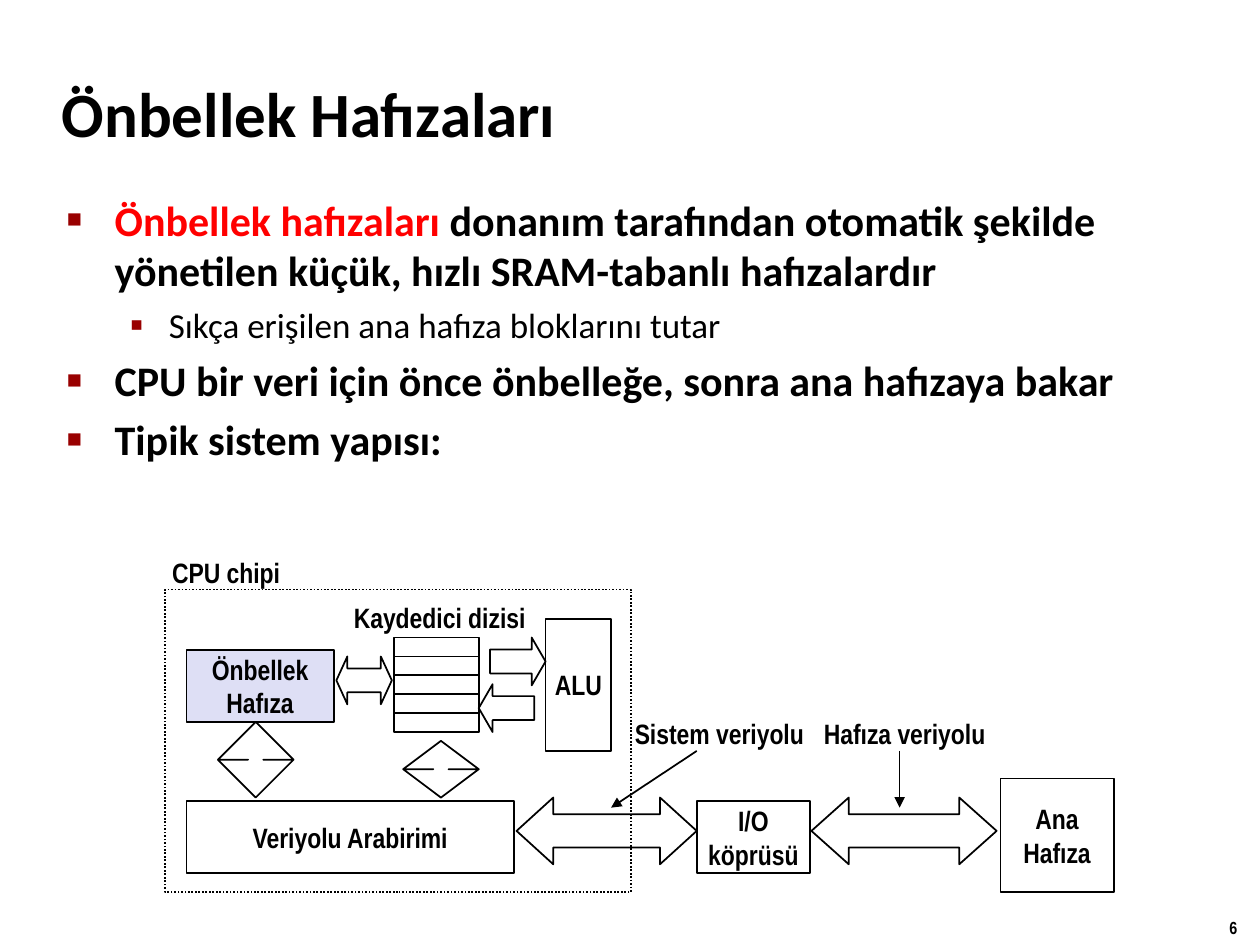
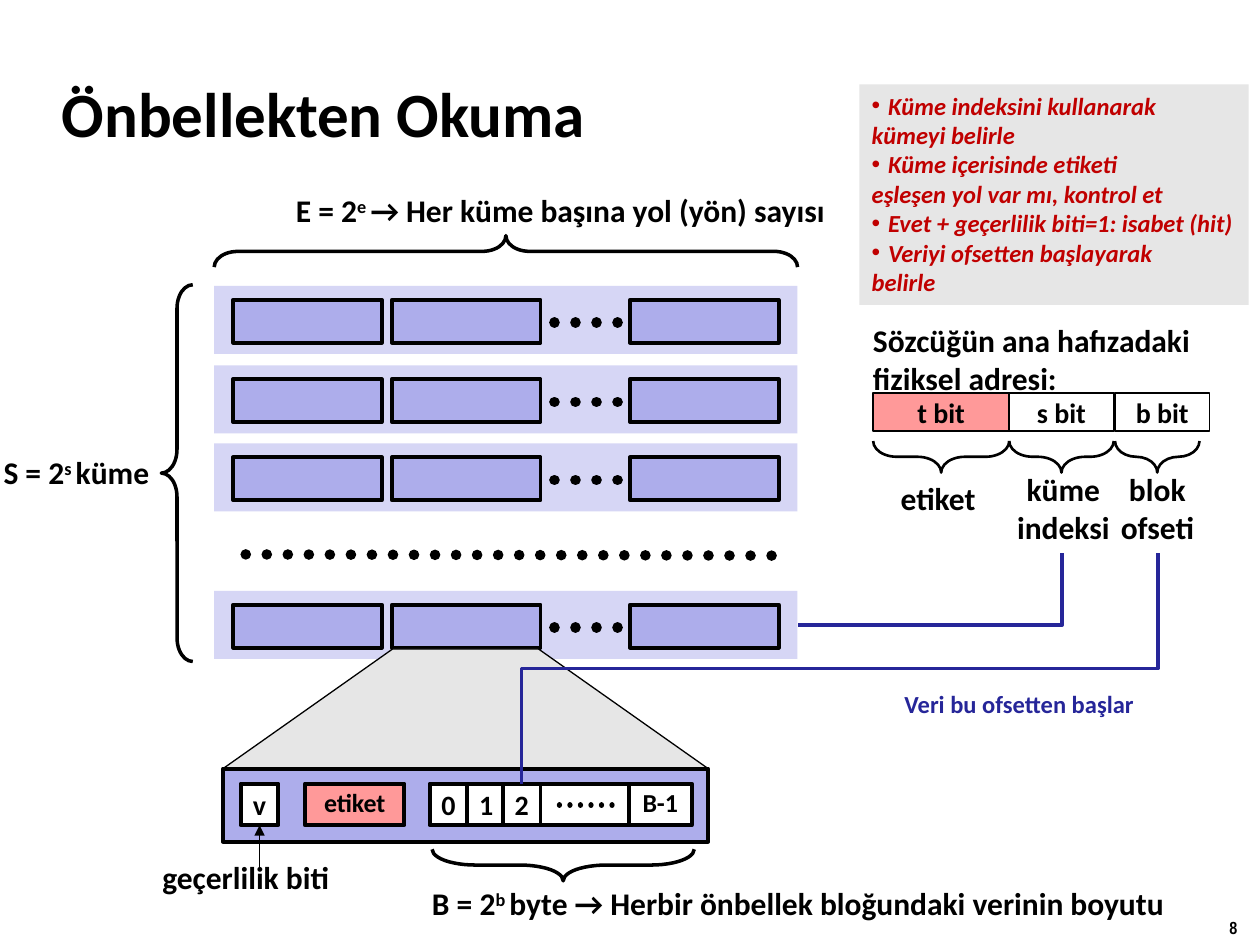
from lxml import etree
from pptx import Presentation
from pptx.dml.color import RGBColor
from pptx.enum import dml, shapes, text
from pptx.oxml import ns
from pptx.util import Inches, Pt

HUES = {"ink": "000000", "red": "FF0000", "mark": "990000", "pale": "DEDFF5",
        "set": "D6D6F5", "way": "ADADEB", "tag": "FF9999", "white": "FFFFFF",
        "grey": "E6E6E6", "wire": "262699", "step": "C00000"}
BASE = {"name": "Calibri", "size": 18, "bold": True, "italic": False, "hue": "ink"}
HEAD = {**BASE, "size": 36}
ITEM = {**BASE, "size": 24}
SUB = {**BASE, "size": 20, "bold": False}
CELL = {**BASE, "size": 16}
SMALL = {**BASE, "size": 14.8}
NOTE = {**BASE, "size": 14, "hue": "wire"}
STEP = {**NOTE, "hue": "step", "italic": True}
PART = {**CELL, "name": "Arial Narrow"}
PAGE = {**PART, "size": 10}
KIND = shapes.MSO_SHAPE
LEFT, MID = text.PP_ALIGN.LEFT, text.PP_ALIGN.CENTER


def color(key):
    """Return the named colour."""
    return RGBColor.from_string(HUES[key])


def tag(parent, name, **values):
    """Append a drawing element with attributes."""
    node = etree.SubElement(parent, ns.qn(name))
    for key, value in values.items():
        node.set(key, str(value))
    return node


def add_run(para, words, style, **extra):
    """Add a run and set its font from a style."""
    run = para.add_run()
    run.text = words
    look = {**style, **extra}
    for key in ("name", "bold", "italic"):
        setattr(run.font, key, look[key])
    run.font.size = Pt(look["size"])
    run.font.color.rgb = color(look["hue"])
    if "rise" in look:
        run._r.get_or_add_rPr().set("baseline", str(look["rise"]))


def indent(para, left, first):
    """Set the left margin and first-line indent."""
    props = para._p.get_or_add_pPr()
    props.set("marL", str(Inches(left)))
    props.set("indent", str(Inches(first)))
    return props


def bullet(para, sign, left, first, hue=None, size=None):
    """Give a paragraph a hanging bullet."""
    props = indent(para, left, first)
    if hue:
        tag(tag(props, "a:buClr"), "a:srgbClr", val=HUES[hue])
    if size:
        tag(props, "a:buSzPct", val=size * 1000)
    tag(props, "a:buFont", typeface="Arial")
    tag(props, "a:buChar", char=sign)


def lines(frame, count):
    """Yield the given number of paragraphs of a frame."""
    yield frame.paragraphs[0]
    for _ in range(count - 1):
        yield frame.add_paragraph()


def write(frame, words, style, align=LEFT, space=None):
    """Write one paragraph for each line of words."""
    rows = words.split("\n")
    for para, row in zip(lines(frame, len(rows)), rows):
        para.alignment = align
        if space:
            para.line_spacing = space
        add_run(para, row, style)


def stroke(line, width, dash=False, hue="ink"):
    """Set a line's colour, width and dash."""
    line.color.rgb = color(hue)
    line.width = Pt(width)
    if dash:
        line.dash_style = dml.MSO_LINE.ROUND_DOT


class Pen:
    """Draw on a slide relative to an origin."""

    def __init__(self, slide, x=0, y=0):
        self.tree, self.x, self.y = slide.shapes, x, y

    def spot(self, x, y):
        """Turn a relative point into slide lengths."""
        return Inches(self.x + x), Inches(self.y + y)

    def shape(self, kind, box, fill=None, width=1, dash=False, adj=(), words="",
              style=PART, space=None):
        """Add a preset shape with optional centred words."""
        item = self.tree.add_shape(kind, *self.spot(*box[:2]), *map(Inches, box[2:]))
        item.shadow.inherit = False
        if fill:
            item.fill.solid()
            item.fill.fore_color.rgb = color(fill)
        else:
            item.fill.background()
        if width:
            stroke(item.line, width, dash)
        else:
            item.line.fill.background()
        for place, value in enumerate(adj):
            item.adjustments[place] = value
        if words:
            item.text_frame.word_wrap = False
            item.text_frame.vertical_anchor = text.MSO_ANCHOR.MIDDLE
            write(item.text_frame, words, style, MID, space)
        return item

    def rect(self, box, **look):
        """Add a rectangle."""
        return self.shape(KIND.RECTANGLE, box, **look)

    def label(self, box, words="", style=BASE, align=LEFT):
        """Add a text box that fits its words."""
        item = self.tree.add_textbox(*self.spot(*box[:2]), *map(Inches, box[2:]))
        frame = item.text_frame
        frame.word_wrap = False
        frame.auto_size = text.MSO_AUTO_SIZE.SHAPE_TO_FIT_TEXT
        if words:
            write(frame, words, style, align)
        return frame

    def power(self, box, base, rise, rest):
        """Add a label with a raised exponent."""
        para = self.label(box).paragraphs[0]
        add_run(para, base, BASE)
        add_run(para, rise + " ", BASE, rise=30000)
        add_run(para, rest, BASE)

    def link(self, start, end, width, dots=False, arrow=False, hue="ink",
             kind=shapes.MSO_CONNECTOR.STRAIGHT):
        """Add a connector, dotted or with an arrowhead."""
        item = self.tree.add_connector(kind, *self.spot(*start), *self.spot(*end))
        stroke(item.line, width, dots, hue)
        props = item._element.spPr
        pen = props.find(ns.qn("a:ln"))
        if dots:
            pen.set("cap", "rnd")
        if arrow:
            tag(pen, "a:tailEnd", type="triangle")
        tag(props, "a:effectLst")
        return item

    def wire(self, start, end, preset):
        """Add an elbow that leaves downward and runs left."""
        (ax, ay), (bx, by) = start, end
        mx, my, w, h = (ax + bx) / 2, (ay + by) / 2, (by - ay) / 2, (ax - bx) / 2
        item = self.link((mx - w, my - h), (mx + w, my + h), 2, hue="wire",
                         kind=shapes.MSO_CONNECTOR.ELBOW)
        props = item._element.spPr
        props.find(ns.qn("a:xfrm")).set("rot", "5400000")
        props.find(ns.qn("a:prstGeom")).set("prst", preset)

    def brace(self, x, y, size, turn, width=2, curl=0.75):
        """Add a horizontal brace from its left end."""
        deep = 0.25
        box = (x + (size - deep) / 2, y + (deep - size) / 2, deep, size)
        item = self.shape(KIND.LEFT_BRACE, box, width=width, adj=(curl, 0.5))
        item.rotation = turn


def start(deck, layout, title, page):
    """Add a slide with its title and page number."""
    slide = deck.slides.add_slide(deck.slide_layouts[layout])
    head = slide.shapes.title
    place(head, (0.39, 0.48, 8.3, 0.83))
    head.text_frame.vertical_anchor = text.MSO_ANCHOR.MIDDLE
    write(head.text_frame, title, HEAD)
    indent(head.text_frame.paragraphs[0], 0.13, -0.13)
    Pen(slide).label((9.66, 7.23, 0.34, 0.27), page, PAGE)
    return slide


def place(item, box):
    """Move a placeholder to a box and stop it resizing."""
    for key, value in zip(("left", "top", "width", "height"), box):
        setattr(item, key, Inches(value))
    item.text_frame.auto_size = text.MSO_AUTO_SIZE.NONE


def points(body, box):
    """Fill the body with the bulleted list."""
    place(body, box)
    rows = [(0, [("Önbellek hafızaları ", "red"),
                 ("donanım tarafından otomatik şekilde yönetilen küçük, "
                  "hızlı SRAM-tabanlı hafızalardır", "ink")]),
            (1, [("Sıkça erişilen ana hafıza bloklarını tutar", "ink")]),
            (0, [("CPU bir veri için önce önbelleğe, sonra ana hafızaya bakar", "ink")]),
            (0, [("Tipik sistem yapısı:", "ink")])]
    marks = [("■", 0.38, -0.38, "mark", 60), ("▪", 0.81, -0.31, "mark", 110)]
    for rank, (para, (level, parts)) in enumerate(zip(lines(body.text_frame, len(rows)), rows)):
        para.level = level
        bullet(para, *marks[level])
        para.space_before = Pt(5 if rank else 0)
        for words, hue in parts:
            add_run(para, words, SUB if level else ITEM, hue=hue)


def system(slide, x, y):
    """Draw the processor chip, its buses and main memory."""
    pen = Pen(slide, x, y)
    pen.rect((0, 0, 3.7, 2.4), dash=True)
    for row in range(5):
        pen.rect((1.82, 0.38 + row * 0.15, 0.67, 0.15))
    parts = [((6.63, 1.5, 0.9, 0.9), "Ana\nHafıza", None),
             ((4.22, 1.68, 0.9, 0.57), "I/O\nköprüsü", None),
             ((0.17, 1.68, 2.6, 0.57), "Veriyolu Arabirimi", None),
             ((3.02, 0.23, 0.52, 1.05), "ALU", None),
             ((0.17, 0.48, 1.17, 0.57), "Önbellek\nHafıza", "pale")]
    for box, words, fill in parts:
        pen.rect(box, words=words, fill=fill)
    flat, tall = KIND.LEFT_RIGHT_ARROW, KIND.UP_DOWN_ARROW
    for kind, box, tip in [(flat, (5.13, 1.65, 1.47, 0.53), 0.56),
                           (flat, (2.79, 1.65, 1.43, 0.53), 0.55),
                           (flat, (1.36, 0.53, 0.44, 0.38), 0.23),
                           (tall, (1.89, 1.2, 0.6, 0.45), 0.2),
                           (tall, (0.42, 1.05, 0.6, 0.6), 0.2),
                           (KIND.RIGHT_ARROW, (2.58, 0.38, 0.44, 0.38), 0.29),
                           (KIND.LEFT_ARROW, (2.49, 0.75, 0.44, 0.38), 0.29)]:
        pen.shape(kind, box, adj=(0.5, tip))
    for left, top, wide, words in [(1.39, 0.04, 1.58, "Kaydedici dizisi"),
                                   (-0.05, -0.32, 1.07, "CPU chipi"),
                                   (3.62, 0.96, 1.56, "Sistem veriyolu"),
                                   (5.12, 0.96, 1.5, "Hafıza veriyolu")]:
        pen.label((left, top, wide, 0.37), words, PART, MID)
    for tail, tip in [(4.22, 3.54), (5.83, 5.83)]:
        pen.link((tail, 1.28), (tip, 1.73), 1, arrow=True)


def sets(slide, x, y):
    """Draw the cache sets with their ways and braces."""
    pen = Pen(slide, x, y)
    for top in (0, 0.63, 1.25, 2.42):
        pen.rect((0, top, 4.63, 0.54), fill="set", width=0)
        for left in (0.15, 1.41, 3.3):
            pen.rect((left, top + 0.11, 1.18, 0.34), fill="way", width=2.25)
        pen.link((2.7, top + 0.29), (3.31, top + 0.29), 6, dots=True)
    pen.link((0.25, 2.13), (4.49, 2.14), 6, dots=True)
    pen.brace(0, -0.4, 4.63, 90)
    pen.shape(KIND.LEFT_BRACE, (-0.42, -0.01, 0.25, 2.99), width=2, adj=(0.75, 0.5))
    pen.power((0.55, -0.8, 4.49, 0.4), "E = 2", "e", "→ Her küme başına yol (yön) sayısı")
    pen.power((-1.77, 1.28, 1.4, 0.4), "S = 2", "s", "küme")


def block(slide, x, y):
    """Draw the enlarged cache line."""
    pen = Pen(slide, x, y)
    pen.shape(KIND.TRAPEZOID, (0, -0.95, 3.85, 0.95), "grey", 0.75, adj=(1.418,))
    pen.rect((0, 0, 3.85, 0.58), fill="way", width=2.25)
    for left, wide, words, fill, style, space in [
            (1.64, 0.3, "0", "white", CELL, None), (1.94, 0.3, "1", "white", CELL, None),
            (2.22, 0.3, "2", "white", CELL, None), (3.22, 0.5, "B-1", "white", SMALL, 0.9),
            (2.52, 0.7, "", "white", CELL, None), (0.65, 0.79, "etiket", "tag", SMALL, 0.9),
            (0.14, 0.3, "v", "white", CELL, None)]:
        pen.rect((left, 0.12, wide, 0.33), fill=fill, width=2.25, words=words,
                 style=style, space=space)
    pen.link((2.67, 0.29), (3.17, 0.29), 3, dots=True)
    pen.label((-0.58, 0.66, 1.54, 0.4), "geçerlilik biti")
    pen.link((0.29, 0.78), (0.29, 0.45), 0.75, arrow=True)
    pen.brace(1.66, 0.64, 2.08, 270, curl=1.37)
    pen.power((1.56, 0.87, 6.12, 0.4), "B = 2", "b",
              "byte → Herbir önbellek bloğundaki verinin boyutu")


def address(slide, x, y):
    """Draw the address fields and the wires they drive."""
    pen = Pen(slide, x, y)
    for left, wide, span, words, fill in [(0, 1.08, 1.08, "t bit", "tag"),
                                          (1.08, 0.83, 0.83, "s bit", "white"),
                                          (1.92, 0.75, 0.67, "b bit", "white")]:
        pen.rect((left, 0, wide, 0.3), fill=fill, words=words, style=CELL)
        pen.brace(left, 0.38, span, 270, 1.5)
    pen.label((-0.1, -0.62, 2.8, 0.71), "Sözcüğün ana hafızadaki\nfiziksel adresi:")
    pen.label((0.12, 0.63, 0.8, 0.4), "etiket")
    pen.label((1.04, 0.56, 0.94, 0.71), "küme\nindeksi", align=MID)
    pen.label((1.86, 0.56, 0.79, 0.71), "blok\nofseti", align=MID)
    pen.wire((1.5, 1.27), (-0.6, 1.84), "bentConnector2")
    pen.wire((2.26, 1.27), (-2.79, 3.1), "bentConnector3")
    pen.label((0.15, 2.3, 2.04, 0.34), "Veri bu ofsetten başlar", NOTE)


def steps(slide, box):
    """Draw the panel of lookup steps."""
    panel = Pen(slide).rect(box, fill="grey", width=0)
    frame = panel.text_frame
    frame.word_wrap = False
    frame.vertical_anchor = text.MSO_ANCHOR.TOP
    rows = [(True, "Küme indeksini kullanarak"), (False, "kümeyi belirle"),
            (True, "Küme içerisinde etiketi"), (False, "eşleşen yol var mı, kontrol et"),
            (True, "Evet + geçerlilik biti=1: isabet (hit)"),
            (True, "Veriyi ofsetten başlayarak"), (False, "belirle")]
    for para, (first, words) in zip(lines(frame, len(rows)), rows):
        para.alignment = LEFT
        if first:
            bullet(para, "•", 0.13, -0.13)
        add_run(para, words, STEP)


def main():
    """Build both slides and save the deck."""
    deck = Presentation()
    deck.slide_width, deck.slide_height = Inches(10), Inches(7.5)
    slide = start(deck, 1, "Önbellek Hafızaları", "6")
    points(slide.placeholders[1], (0.43, 1.49, 8.64, 5.44))
    system(slide, 1.31, 4.68)
    slide = start(deck, 5, "Önbellekten Okuma", "8")
    sets(slide, 1.7, 2.27)
    block(slide, 1.77, 6.1)
    address(slide, 6.93, 3.12)
    steps(slide, (6.82, 0.67, 3.09, 1.75))
    deck.save("out.pptx")


if __name__ == "__main__":
    main()
